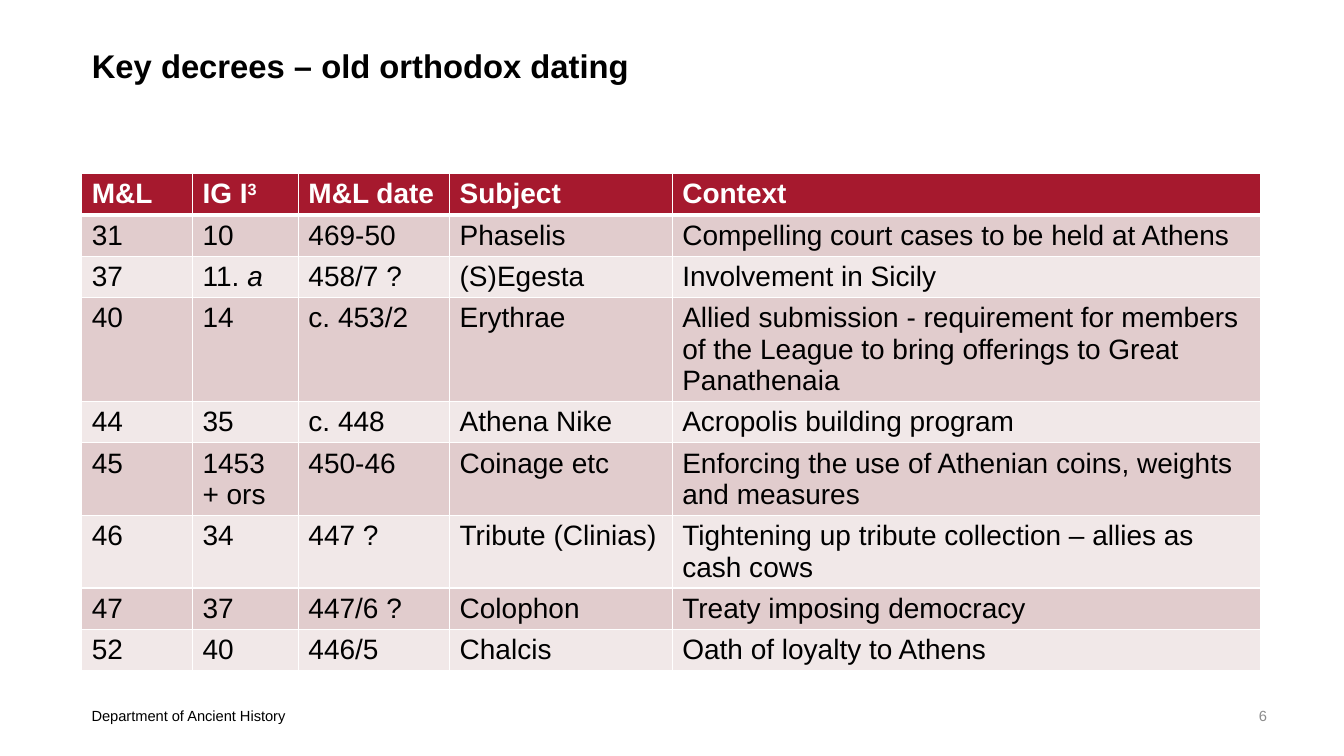
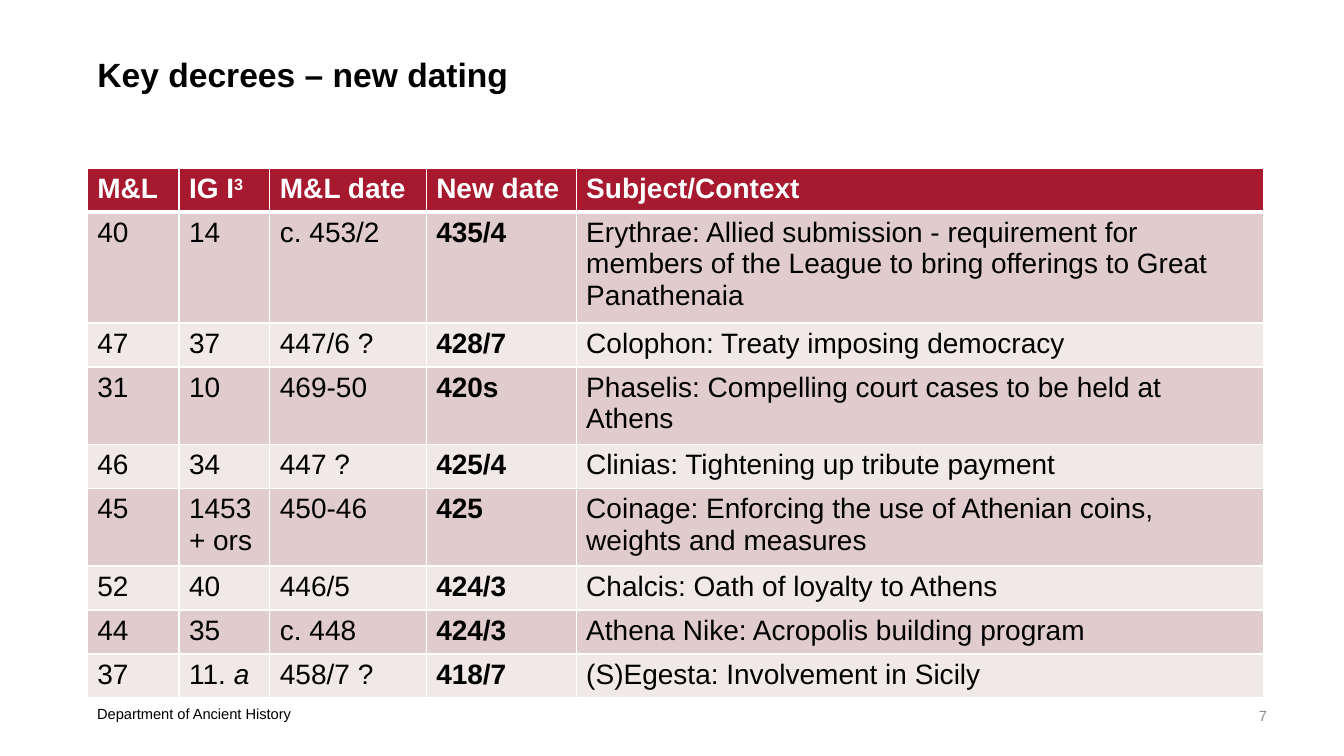
from lxml import etree
from pptx import Presentation
from pptx.dml.color import RGBColor
from pptx.enum import text
from pptx.oxml import ns
from pptx.util import Cm, Pt

# Content: a pair in a cell is plain text followed by a raised or italic ending
FOOTER = "Department of Ancient History"
IG_HEADING = ("IG I", "3")
PAGES = [
    {
        "title": "Key decrees – old orthodox dating",
        "number": "6", "left": 2.06, "title_top": 1.02, "title_size": 23.4,
        "table_top": 4.37, "footer_top": 17.68,
        "columns": [2.79, 2.67, 3.81, 5.61, 14.83],
        "row_height": 1.04, "extra_line": 0.79,
        "line_counts": [1, 1, 1, 3, 1, 2, 2, 1, 1],
        "bold_column": None,
        "rows": [
            ("M&L", IG_HEADING, "M&L date", "Subject", "Context"),
            ("31", "10", "469-50", "Phaselis",
             "Compelling court cases to be held at Athens"),
            ("37", ("11. ", "a"), "458/7 ?", "(S)Egesta", "Involvement in Sicily"),
            ("40", "14", "c. 453/2", "Erythrae",
             "Allied submission - requirement for members of the League "
             "to bring offerings to Great Panathenaia"),
            ("44", "35", "c. 448", "Athena Nike", "Acropolis building program"),
            ("45", "1453 + ors", "450-46", "Coinage etc",
             "Enforcing the use of Athenian coins, weights and measures"),
            ("46", "34", "447 ?", "Tribute (Clinias)",
             "Tightening up tribute collection – allies as cash cows"),
            ("47", "37", "447/6 ?", "Colophon", "Treaty imposing democracy"),
            ("52", "40", "446/5", "Chalcis", "Oath of loyalty to Athens"),
        ],
    },
    {
        "title": "Key decrees – new dating",
        "number": "7", "left": 2.2, "title_top": 1.22, "title_size": 24,
        "table_top": 4.24, "footer_top": 17.63,
        "columns": [2.31, 2.29, 3.94, 3.78, 17.32],
        "row_height": 1.11, "extra_line": 0.84,
        "line_counts": [1, 3, 1, 2, 1, 2, 1, 1, 1],
        "bold_column": 3,
        "rows": [
            ("M&L", IG_HEADING, "M&L date", "New date", "Subject/Context"),
            ("40", "14", "c. 453/2", "435/4",
             "Erythrae: Allied submission - requirement for members of the League "
             "to bring offerings to Great Panathenaia"),
            ("47", "37", "447/6 ?", "428/7", "Colophon: Treaty imposing democracy"),
            ("31", "10", "469-50", "420s",
             "Phaselis: Compelling court cases to be held at Athens"),
            ("46", "34", "447 ?", "425/4", "Clinias: Tightening up tribute payment"),
            ("45", "1453 + ors", "450-46", "425",
             "Coinage: Enforcing the use of Athenian coins, weights and measures"),
            ("52", "40", "446/5", "424/3", "Chalcis: Oath of loyalty to Athens"),
            ("44", "35", "c. 448", "424/3", "Athena Nike: Acropolis building program"),
            ("37", ("11. ", "a"), "458/7 ?", "418/7",
             "(S)Egesta: Involvement in Sicily"),
        ],
    },
]

# Shared style
FONT = "Arial"
BLACK = RGBColor(0x00, 0x00, 0x00)
WHITE = RGBColor(0xFF, 0xFF, 0xFF)
GREY = RGBColor(0x8C, 0x8C, 0x8C)
CRIMSON = RGBColor(0xA6, 0x19, 0x2E)
DARK_BAND = RGBColor(0xE1, 0xCC, 0xCD)
LIGHT_BAND = RGBColor(0xF1, 0xE8, 0xE8)


def add_span(para, words, size, color=BLACK, bold=False, italic=False, raised=False):
    span = para.add_run()
    span.text = words
    font = span.font
    font.name, font.size, font.bold, font.italic = FONT, Pt(size), bold, italic
    font.color.rgb = color
    if raised:
        span._r.get_or_add_rPr().set("baseline", "30000")


def set_text(box, words, align=text.PP_ALIGN.LEFT,
             anchor=text.MSO_ANCHOR.TOP, **style):
    frame = box.text_frame
    frame.word_wrap = True
    frame.auto_size = text.MSO_AUTO_SIZE.NONE
    frame.vertical_anchor = anchor
    para = frame.paragraphs[0]
    para.alignment = align
    add_span(para, words, **style)


def place(box, left, top, width, height):
    box.left, box.top = Cm(left), Cm(top)
    box.width, box.height = Cm(width), Cm(height)


def set_borders(cell, **widths):
    properties = cell._tc.get_or_add_tcPr()
    for side in "LRTB":
        line = etree.SubElement(properties, ns.qn(f"a:ln{side}"),
                                w=str(Pt(widths.get(side, 1))))
        fill = etree.SubElement(line, ns.qn("a:solidFill"))
        etree.SubElement(fill, ns.qn("a:srgbClr"), val=str(WHITE))


def fill_cell(cell, content, row, bold):
    header = row == 0
    # The rule under the header is thicker than the others
    set_borders(cell, B=3 if header else 1, T=3 if row == 1 else 1)
    cell.fill.solid()
    cell.fill.fore_color.rgb = (
        CRIMSON if header else DARK_BAND if row % 2 else LIGHT_BAND)
    style = {"size": 20, "color": WHITE if header else BLACK, "bold": header or bold}
    para = cell.text_frame.paragraphs[0]
    plain, ending = (content, "") if isinstance(content, str) else content
    add_span(para, plain, **style)
    if ending:
        add_span(para, ending, raised=header, italic=not header, **style)


def add_decrees(page, data):
    heights = [data["row_height"] + data["extra_line"] * (count - 1)
               for count in data["line_counts"]]
    table = page.shapes.add_table(
        len(heights), len(data["columns"]), Cm(data["left"]), Cm(data["table_top"]),
        Cm(sum(data["columns"])), Cm(sum(heights))).table
    for column, width in zip(table.columns, data["columns"]):
        column.width = Cm(width)
    for row, (height, contents) in enumerate(zip(heights, data["rows"])):
        table.rows[row].height = Cm(height)
        for column, content in enumerate(contents):
            fill_cell(table.cell(row, column), content, row,
                      bold=column == data["bold_column"])


def add_page(deck, data):
    page = deck.slides.add_slide(deck.slide_layouts[5])
    # Title
    title = page.shapes.title
    place(title, data["left"], data["title_top"], 17.78, 1.78)
    set_text(title, data["title"], size=data["title_size"], bold=True)
    # Table
    add_decrees(page, data)
    # Footer and page number
    footer = page.shapes.add_textbox(
        Cm(data["left"]), Cm(data["footer_top"]), Cm(16.94), Cm(1.14))
    set_text(footer, FOOTER, size=10.5)
    number = page.shapes.add_textbox(Cm(24.28), Cm(17.53), Cm(7.9), Cm(1.02))
    set_text(number, data["number"], size=10.5, color=GREY,
             align=text.PP_ALIGN.RIGHT, anchor=text.MSO_ANCHOR.MIDDLE)


def main():
    deck = Presentation()
    deck.slide_width, deck.slide_height = Cm(33.87), Cm(19.05)
    for data in PAGES:
        add_page(deck, data)
    deck.save("out.pptx")


if __name__ == "__main__":
    main()
